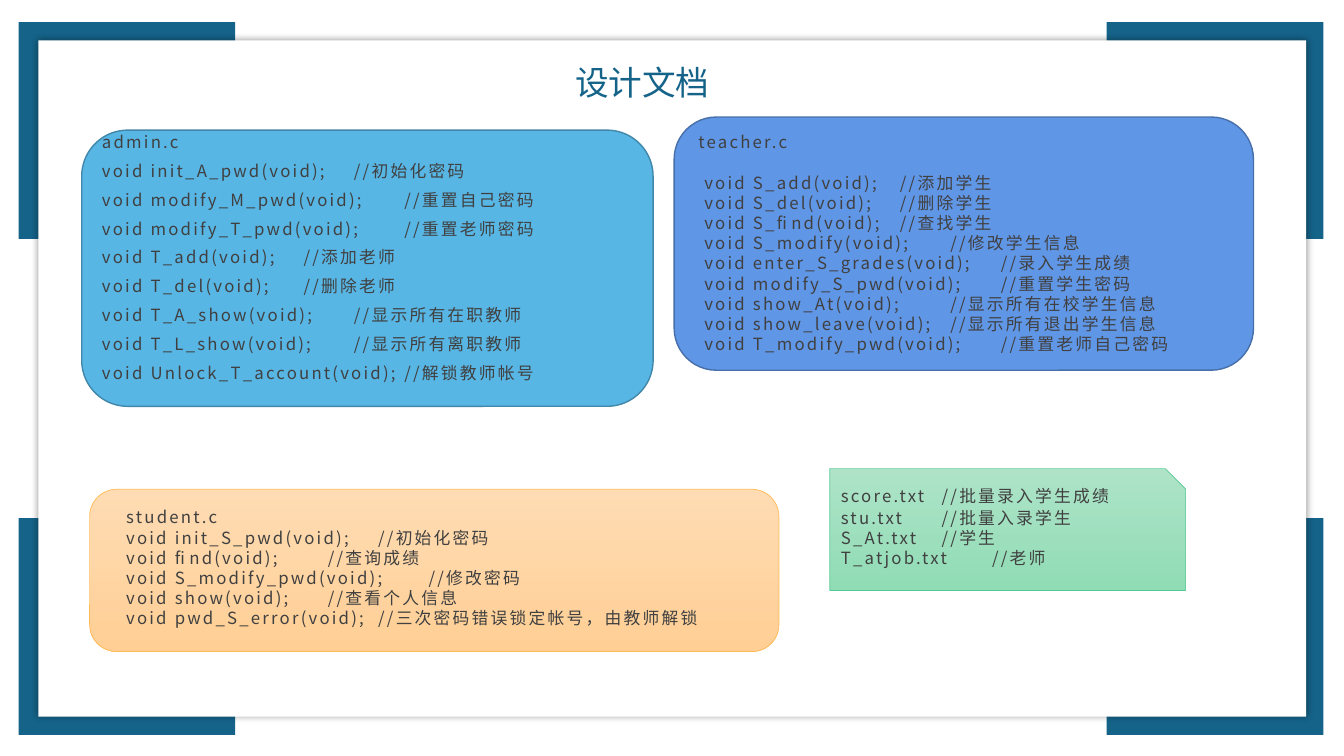
from dataclasses import dataclass

from lxml import etree
from pptx import Presentation
from pptx.dml.color import RGBColor
from pptx.enum.shapes import MSO_SHAPE
from pptx.enum.text import MSO_ANCHOR, MSO_AUTO_SIZE, PP_ALIGN
from pptx.oxml.ns import qn
from pptx.util import Cm, Pt

RECTANGLE = MSO_SHAPE.RECTANGLE
ROUNDED = MSO_SHAPE.ROUNDED_RECTANGLE
SNIPPED = MSO_SHAPE.SNIP_1_RECTANGLE
TOP, MIDDLE = MSO_ANCHOR.TOP, MSO_ANCHOR.MIDDLE
NO_AUTOFIT = MSO_AUTO_SIZE.NONE
LEFT, CENTER = PP_ALIGN.LEFT, PP_ALIGN.CENTER
COMPARISON_LAYOUT = 4


@dataclass(frozen=True)
class Theme:
    font: str = "Noto Sans CJK SC"
    accent: str = "156389"
    paper: str = "FFFFFF"
    shadow: str = "000000"
    ink: str = "404040"
    title_size: float = 24
    body_size: float = 12
    body_tracking: float = 1.6
    line_height: float = 14.4


THEME = Theme()


@dataclass(frozen=True)
class Area:
    """Left, top, width and height in centimetres."""
    left: float
    top: float
    width: float
    height: float

    def lengths(self) -> tuple:
        return Cm(self.left), Cm(self.top), Cm(self.width), Cm(self.height)


@dataclass(frozen=True)
class Line:
    """A declaration or file name, and its comment at a tab stop in centimetres."""
    code: str
    comment: str = ""
    tab: float = 0


@dataclass(frozen=True)
class Panel:
    kind: int
    area: Area
    fills: tuple
    border: str
    border_width: float
    text_area: Area
    lines: tuple
    line_height: float = THEME.line_height
    space_before: float = 0
    first_gap: float = 0


PANELS = (
    Panel(ROUNDED, Area(2.06, 3.28, 14.4, 6.96), ("58B6E5",), "4187A9", 1,
          Area(2.57, 3.53, 13.6, 6.17), (
              Line("admin.c"),
              Line("void init_A_pwd(void);", "//初始化密码", 6.75),
              Line("void modify_M_pwd(void);", "//重置自己密码", 7.36),
              Line("void modify_T_pwd(void);", "//重置老师密码", 7.26),
              Line("void T_add(void);", "//添加老师", 6.22),
              Line("void T_del(void);", "//删除老师", 6.07),
              Line("void T_A_show(void);", "//显示所有在职教师", 6.7),
              Line("void T_L_show(void);", "//显示所有离职教师", 6.68),
              Line("void Unlock_T_account(void);", "//解锁教师帐号", 7.61),
          ), line_height=8.6, space_before=12),
    Panel(ROUNDED, Area(16.99, 2.95, 14.6, 6.38), ("6096E6",), "476FAA", 1,
          Area(17.6, 3.33, 13.6, 5.65), (
              Line("teacher.c"),
              Line(" void S_add(void);", "//添加学生", 6.06),
              Line(" void S_del(void);", "//删除学生", 5.91),
              Line(" void S_find(void);", "//查找学生", 5.96),
              Line(" void S_modify(void);", "//修改学生信息", 6.39),
              Line(" void enter_S_grades(void);", "//录入学生成绩", 7.05),
              Line(" void modify_S_pwd(void);", "//重置学生密码", 7.12),
              Line(" void show_At(void);", "//显示所有在校学生信息", 6.31),
              Line(" void show_leave(void);", "//显示所有退出学生信息", 6.67),
              Line(" void T_modify_pwd(void);", "//重置老师自己密码", 7.12),
          ), first_gap=THEME.line_height),
    Panel(ROUNDED, Area(2.26, 12.33, 17.37, 4.09), ("FFDCB4", "FFCF95"), "FFBA55", 0.5,
          Area(3.18, 12.78, 16, 3.1), (
              Line("student.c"),
              Line("void init_S_pwd(void);", "//初始化密码", 6.12),
              Line("void find(void);", "//查询成绩", 5.22),
              Line("void S_modify_pwd(void);", "//修改密码", 6.65),
              Line("void show(void);", "//查看个人信息", 5.49),
              Line("void pwd_S_error(void);", "//三次密码错误锁定帐号，由教师解锁", 6.35),
          )),
    Panel(SNIPPED, Area(20.91, 11.81, 8.97, 3.07), ("AEE3C8", "90DCB5"), "56CA95", 0.5,
          Area(21.19, 12.25, 9.6, 2.2), (
              Line("score.txt", "//批量录入学生成绩", 3.25),
              Line("stu.txt", "//批量入录学生", 2.8),
              Line("S_At.txt", "//学生", 3.15),
              Line("T_atjob.txt", "//老师", 3.48),
          ), first_gap=1),
)


def color(value: str) -> RGBColor:
    return RGBColor.from_string(value)


def place(item, area: Area) -> None:
    item.left, item.top, item.width, item.height = area.lengths()


def add_block(slide, kind: int, area: Area, fills: tuple):
    """Add a borderless shape with a plain fill, or a top-to-bottom gradient."""
    block = slide.shapes.add_shape(kind, *area.lengths())
    block.shadow.inherit = False
    block.line.fill.background()
    if len(fills) == 1:
        block.fill.solid()
        block.fill.fore_color.rgb = color(fills[0])
    else:
        block.fill.gradient()
        block.fill.gradient_angle = 270
        for stop, value in zip(block.fill.gradient_stops, fills):
            stop.color.rgb = color(value)
    return block


def add_frame(slide) -> None:
    """Add four corner squares and the shadowed sheet over them."""
    for top in (0.56, 13.06):
        for left in (0.47, 27.89):
            add_block(slide, RECTANGLE, Area(left, top, 5.46, 5.46), (THEME.accent,))
    sheet = add_block(slide, RECTANGLE, Area(0.97, 1.02, 31.95, 17.04), (THEME.paper,))
    effects = sheet.element.spPr.find(qn("a:effectLst"))
    shadow = etree.SubElement(effects, qn("a:outerShdw"), blurRad=str(Pt(5)), dist="0",
                              dir="0", algn="ctr", rotWithShape="0")
    tint = etree.SubElement(shadow, qn("a:srgbClr"), val=THEME.shadow)
    etree.SubElement(tint, qn("a:alpha"), val="40000")


def style_spans(para, size: float, value: str, tracking: float = 0) -> None:
    for span in para.runs:
        span.font.size = Pt(size)
        span.font.bold = False
        span.font.color.rgb = color(value)
        span.font.name = THEME.font
        properties = span.font._element
        properties.set("spc", str(round(tracking * 100)))
        etree.SubElement(properties, qn("a:ea"), typeface=THEME.font)


def prepare_frame(box, anchor: int):
    frame = box.text_frame
    frame.margin_left = frame.margin_right = frame.margin_top = frame.margin_bottom = 0
    frame.word_wrap = True
    frame.auto_size = NO_AUTOFIT
    frame.vertical_anchor = anchor
    return frame


def write_title(box, text: str) -> None:
    place(box, Area(13.16, 1.42, 6.05, 1.27))
    frame = prepare_frame(box, MIDDLE)
    frame.text = text
    frame.paragraphs[0].alignment = CENTER
    style_spans(frame.paragraphs[0], THEME.title_size, THEME.accent)


def write_lines(box, panel: Panel) -> None:
    place(box, panel.text_area)
    frame = prepare_frame(box, TOP)
    for index, line in enumerate(panel.lines):
        para = frame.add_paragraph() if index else frame.paragraphs[0]
        para.text = f"{line.code}\t{line.comment}" if line.comment else line.code
        para.alignment = LEFT
        para.line_spacing = Pt(panel.line_height)
        para.space_before = Pt(panel.space_before if index else 0)
        para.space_after = Pt(0 if index else panel.first_gap)
        properties = para._p.get_or_add_pPr()
        properties.set("marL", "0")
        properties.set("indent", "0")
        etree.SubElement(properties, qn("a:buNone"))
        if line.comment:
            stops = etree.SubElement(properties, qn("a:tabLst"))
            etree.SubElement(stops, qn("a:tab"), pos=str(Cm(line.tab)), algn="l")
        style_spans(para, THEME.body_size, THEME.ink, THEME.body_tracking)


def main() -> None:
    deck = Presentation()
    deck.slide_width, deck.slide_height = Cm(33.87), Cm(19.05)
    page = deck.slides.add_slide(deck.slide_layouts[COMPARISON_LAYOUT])
    title, *bodies = page.placeholders
    add_frame(page)
    for panel in PANELS:
        block = add_block(page, panel.kind, panel.area, panel.fills)
        block.line.color.rgb = color(panel.border)
        block.line.width = Pt(panel.border_width)
    write_title(title, "设计文档")
    for body, panel in zip(bodies, PANELS):
        write_lines(body, panel)
    for box in (title, *bodies):
        page.shapes.element.append(box.element)  # bring text in front of the panels
    deck.save("out.pptx")


if __name__ == "__main__":
    main()
